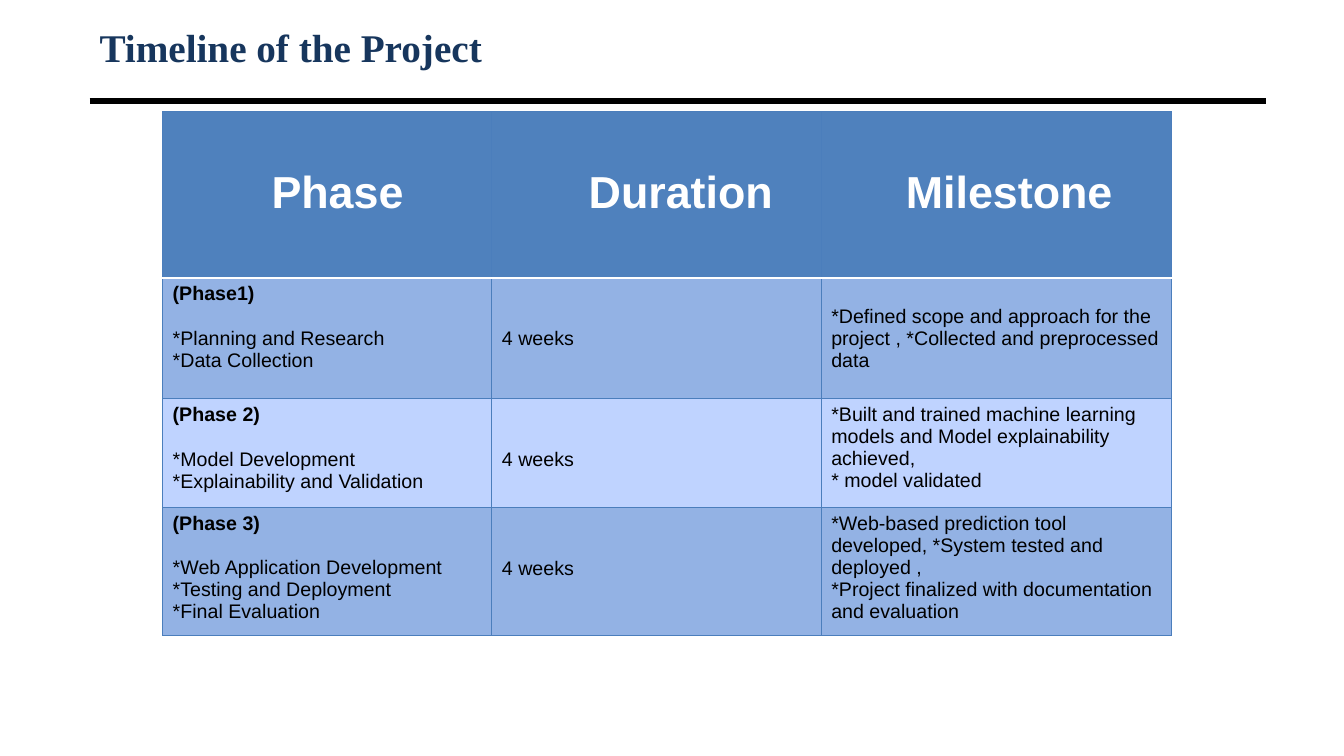
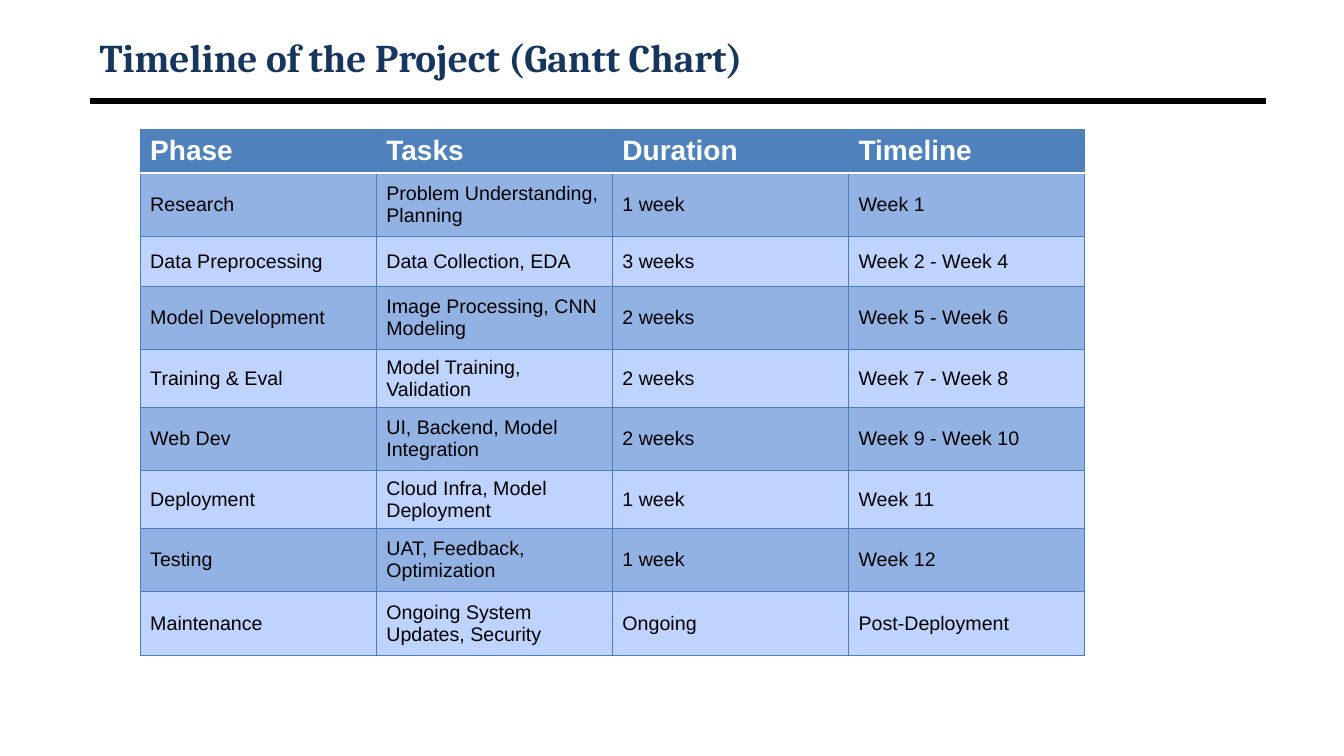
import pptx
import pptx.util
import pptx.dml.color
import pptx.enum.text
import pptx.enum.shapes
import pptx.oxml
import pptx.oxml.ns
import lxml.etree

Pt, Inches = pptx.util.Pt, pptx.util.Inches
RGB = pptx.dml.color.RGBColor.from_string
ANCHOR = pptx.enum.text.MSO_ANCHOR
qn = pptx.oxml.ns.qn

COLORS = {
    "title": "17365D", "text": "000000", "rule": "000000",
    "header": "4F81BD", "header_text": "FFFFFF", "header_edge": "FFFFFF",
    "band": "93B2E4", "plain": "BFD3FF", "border": "4B7EBC",
}

prs = pptx.Presentation()
prs.slide_width, prs.slide_height = Inches(13.33), Inches(7.5)
COL, ROW = prs.slide_width / 100, prs.slide_height / 100
LEFT, WIDTH, RULE_Y = 6.67, 87.5, 13.33
LINE = 1.15     # line height of Arial, in font sizes


def put_text(tf, text, font="Arial", size=14, color="text", bold=False, heading=False):
    """Write one paragraph per line; heading makes the first bold with a line of space below."""
    tf.word_wrap = True
    for i, line in enumerate(text.split("\n")):
        p = tf.paragraphs[0] if i == 0 else tf.add_paragraph()
        if heading and i == 1:
            p.space_before = Pt(round(size * LINE))
        r = p.add_run()
        r.text = line
        r.font.name, r.font.size = font, Pt(size)
        r.font.bold = bold or (heading and i == 0)
        r.font.color.rgb = RGB(COLORS[color])


def set_borders(cell, **edges):
    """Draw edges given as L, R, T, B = (colour, points)."""
    tc_pr = cell._tc.get_or_add_tcPr()
    for i, (side, (color, width)) in enumerate(edges.items()):
        ln = lxml.etree.Element(qn("a:ln" + side), w=str(Pt(width)))
        fill = lxml.etree.SubElement(ln, qn("a:solidFill"))
        lxml.etree.SubElement(fill, qn("a:srgbClr"), val=COLORS[color])
        tc_pr.insert(i, ln)


# Grid units are hundredths of the slide. "skip" counts the text lines left
# free above each cell's text; without it the text is centred vertically.
slides = [
    {
        "title": "Timeline of the Project", "font": "Times New Roman", "title_y": 2.7,
        "at": (12.1, 14.75), "cols": [24.5, 24.5, 26.1], "rows": [22, 16, 14.4, 15.9],
        "header_size": 32, "header_indent": [1.08, 0.96, 0.84], "heading": True,
        "skip": [[1, 1, 1], [0, 2, 1], [0, 2, 0], [0, 2, 0]],
        "cells": [
            ["Phase", "Duration", "Milestone"],
            ["(Phase1)\n*Planning and Research\n*Data Collection", "4 weeks",
             "*Defined scope and approach for the project , *Collected and preprocessed data"],
            ["(Phase 2)\n*Model Development\n*Explainability and Validation", "4 weeks",
             "*Built and trained machine learning models and Model explainability achieved,\n"
             "* model validated"],
            ["(Phase 3)\n*Web Application Development\n*Testing and Deployment\n*Final Evaluation",
             "4 weeks",
             "*Web-based prediction tool developed, *System tested and deployed ,\n"
             "*Project finalized with documentation and evaluation"],
        ],
    },
    {
        "title": "Timeline of the Project (Gantt Chart)", "font": "Cambria", "title_y": 4,
        "at": (10.43, 17.1), "cols": [17.57] * 4,
        "rows": [5.47, 8.45, 6.5, 8.45, 7.15, 8.45, 7.15, 8.45, 8.45],
        "header_size": 20, "header_indent": [0.1] * 4, "heading": False, "skip": None,
        "cells": [
            ["Phase", "Tasks", "Duration", "Timeline"],
            ["Research", "Problem Understanding, Planning", "1 week", "Week 1"],
            ["Data Preprocessing", "Data Collection, EDA", "3 weeks", "Week 2 - Week 4"],
            ["Model Development", "Image Processing, CNN Modeling", "2 weeks", "Week 5 - Week 6"],
            ["Training & Eval", "Model Training, Validation", "2 weeks", "Week 7 - Week 8"],
            ["Web Dev", "UI, Backend, Model Integration", "2 weeks", "Week 9 - Week 10"],
            ["Deployment", "Cloud Infra, Model Deployment", "1 week", "Week 11"],
            ["Testing", "UAT, Feedback, Optimization", "1 week", "Week 12"],
            ["Maintenance", "Ongoing System Updates, Security", "Ongoing", "Post-Deployment"],
        ],
    },
]

for spec_row in slides:
    s = prs.slides.add_slide(prs.slide_layouts[6])

    # Rule below the title
    rule = s.shapes.add_connector(
        pptx.enum.shapes.MSO_CONNECTOR.STRAIGHT,
        int(LEFT * COL), int(RULE_Y * ROW), int((LEFT + WIDTH) * COL), int(RULE_Y * ROW))
    rule.line.color.rgb, rule.line.width = RGB(COLORS["rule"]), Pt(4.5)
    lxml.etree.SubElement(rule._element.spPr, qn("a:effectLst"))

    # Title
    sp = s.shapes.add_textbox(int(LEFT * COL), int(spec_row["title_y"] * ROW),
                              int(WIDTH * COL), int(7 * ROW))
    sp.text_frame.vertical_anchor = ANCHOR.MIDDLE
    put_text(sp.text_frame, spec_row["title"], font=spec_row["font"], size=28,
             color="title", bold=True)

    # Table
    cols, rows, (x, y) = spec_row["cols"], spec_row["rows"], spec_row["at"]
    table = s.shapes.add_table(len(rows), len(cols), int(x * COL), int(y * ROW),
                               int(sum(cols) * COL), int(sum(rows) * ROW)).table
    for column, width in zip(table.columns, cols):
        column.width = int(width * COL)
    for i, height in enumerate(rows):
        table.rows[i].height = int(height * ROW)
        header = i == 0
        size = spec_row["header_size"] if header else 14
        fill = "header" if header else "band" if i % 2 else "plain"
        thin, thick = ("border", 0.75), ("header_edge", 2)
        for j, text in enumerate(spec_row["cells"][i]):
            cell = table.cell(i, j)
            cell.fill.solid()
            cell.fill.fore_color.rgb = RGB(COLORS[fill])
            set_borders(cell, L=thin, R=thin, T=thick if i == 1 else thin,
                        B=thick if header else thin)
            if header:
                cell.margin_left = Inches(spec_row["header_indent"][j])
            cell.vertical_anchor = ANCHOR.MIDDLE
            if spec_row["skip"]:
                cell.vertical_anchor = ANCHOR.TOP
                cell.margin_top = Inches(0.05) + Pt(size * LINE * spec_row["skip"][i][j])
            put_text(cell.text_frame, text, size=size, bold=header,
                     color="header_text" if header else "text",
                     heading=spec_row["heading"] and j == 0 and not header)

prs.save("out.pptx")
